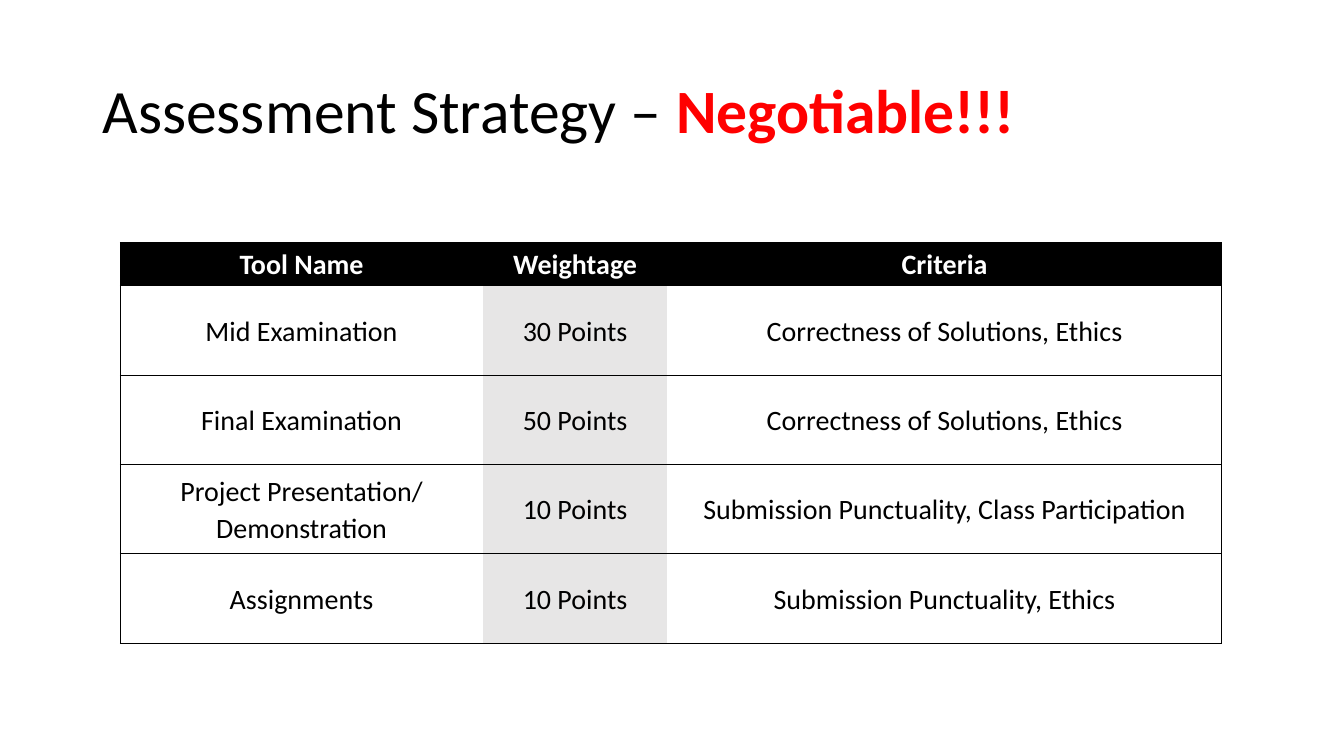
import dataclasses

import lxml.etree
import pptx
import pptx.dml.color
import pptx.enum.text
import pptx.oxml.ns
import pptx.util
from pptx.util import Cm

COLORS = {
    "black": "000000",
    "white": "FFFFFF",
    "gray": "E7E6E6",
    "red": "FF0000",
}
FONT_NAME = "Calibri"
COLUMN_WIDTHS = (Cm(9.14), Cm(4.65), Cm(13.97))
HEADER_HEIGHT = Cm(1.09)
BODY_HEIGHT = Cm(2.25)
WEIGHTAGE_COLUMN = 1


@dataclasses.dataclass(frozen=True)
class Assessment:
    tool: str
    weightage: str
    criteria: str


HEADER = Assessment("Tool Name", "Weightage", "Criteria")
ASSESSMENTS = (
    Assessment("Mid Examination", "30 Points", "Correctness of Solutions, Ethics"),
    Assessment("Final Examination", "50 Points", "Correctness of Solutions, Ethics"),
    Assessment("Project Presentation/ Demonstration", "10 Points",
               "Submission Punctuality, Class Participation"),
    Assessment("Assignments", "10 Points", "Submission Punctuality, Ethics"),
)


def rgb(name: str) -> pptx.dml.color.RGBColor:
    return pptx.dml.color.RGBColor.from_string(COLORS[name])


def format_font(font, size: int, color: str, bold: bool = False) -> None:
    font.name = FONT_NAME
    font.size = pptx.util.Pt(size)
    font.bold = bold
    font.color.rgb = rgb(color)


def set_borders(cell, visible_sides: str) -> None:
    """Draw the sides named by the letters L, R, T and B, and hide the others."""
    qualify = pptx.oxml.ns.qn
    properties = cell._tc.get_or_add_tcPr()
    for side in "LRTB":
        line = lxml.etree.SubElement(properties, qualify(f"a:ln{side}"))
        if side in visible_sides:
            line.set("w", str(pptx.util.Pt(0.5)))
            fill = lxml.etree.SubElement(line, qualify("a:solidFill"))
            lxml.etree.SubElement(fill, qualify("a:srgbClr"), val=COLORS["black"])
        else:
            lxml.etree.SubElement(line, qualify("a:noFill"))


def fill_cell(cell, text: str, fill: str, color: str, bold: bool) -> None:
    cell.margin_left = cell.margin_right = Cm(0.18)
    cell.margin_top = cell.margin_bottom = 0
    cell.vertical_anchor = pptx.enum.text.MSO_ANCHOR.MIDDLE
    cell.fill.solid()
    cell.fill.fore_color.rgb = rgb(fill)
    cell.text_frame.text = text
    para = cell.text_frame.paragraphs[0]
    para.alignment = pptx.enum.text.PP_ALIGN.CENTER
    para.line_spacing = 1.07
    format_font(para.runs[0].font, 20, color, bold)


def add_title(slide) -> None:
    title = slide.shapes.title
    title.left, title.top, title.width, title.height = Cm(2.33), Cm(1.01), Cm(29.21), Cm(3.68)
    frame = title.text_frame
    frame.text = "Assessment Strategy – "
    frame.auto_size = pptx.enum.text.MSO_AUTO_SIZE.NONE
    frame.vertical_anchor = pptx.enum.text.MSO_ANCHOR.MIDDLE
    para = frame.paragraphs[0]
    para.alignment = pptx.enum.text.PP_ALIGN.LEFT
    para.line_spacing = 0.9
    format_font(para.runs[0].font, 44, "black")
    emphasis = para.add_run()
    emphasis.text = "Negotiable!!!"
    format_font(emphasis.font, 44, "red", bold=True)


def add_assessment_table(slide) -> None:
    records = (HEADER, *ASSESSMENTS)
    height = HEADER_HEIGHT + BODY_HEIGHT * len(ASSESSMENTS)
    table = slide.shapes.add_table(
        len(records), len(COLUMN_WIDTHS), Cm(3.03), Cm(6.11), sum(COLUMN_WIDTHS), height
    ).table
    table.first_row = table.horz_banding = False
    for column, width in zip(table.columns, COLUMN_WIDTHS):
        column.width = width

    last_column = len(COLUMN_WIDTHS) - 1
    for row_index, record in enumerate(records):
        is_header = row_index == 0
        table.rows[row_index].height = HEADER_HEIGHT if is_header else BODY_HEIGHT
        for column_index, text in enumerate(dataclasses.astuple(record)):
            cell = table.cell(row_index, column_index)
            outer_side = {0: "L", last_column: "R"}.get(column_index, "")
            set_borders(cell, "TB" + outer_side)
            if is_header:
                fill, color = "black", "white"
            else:
                fill = "gray" if column_index == WEIGHTAGE_COLUMN else "white"
                color = "black"
            fill_cell(cell, text, fill, color, bold=is_header)


def main() -> None:
    deck = pptx.Presentation()
    deck.slide_width, deck.slide_height = Cm(33.87), Cm(19.05)
    title_only_layout = deck.slide_layouts[5]
    slide = deck.slides.add_slide(title_only_layout)
    add_title(slide)
    add_assessment_table(slide)
    deck.save("out.pptx")


if __name__ == "__main__":
    main()
